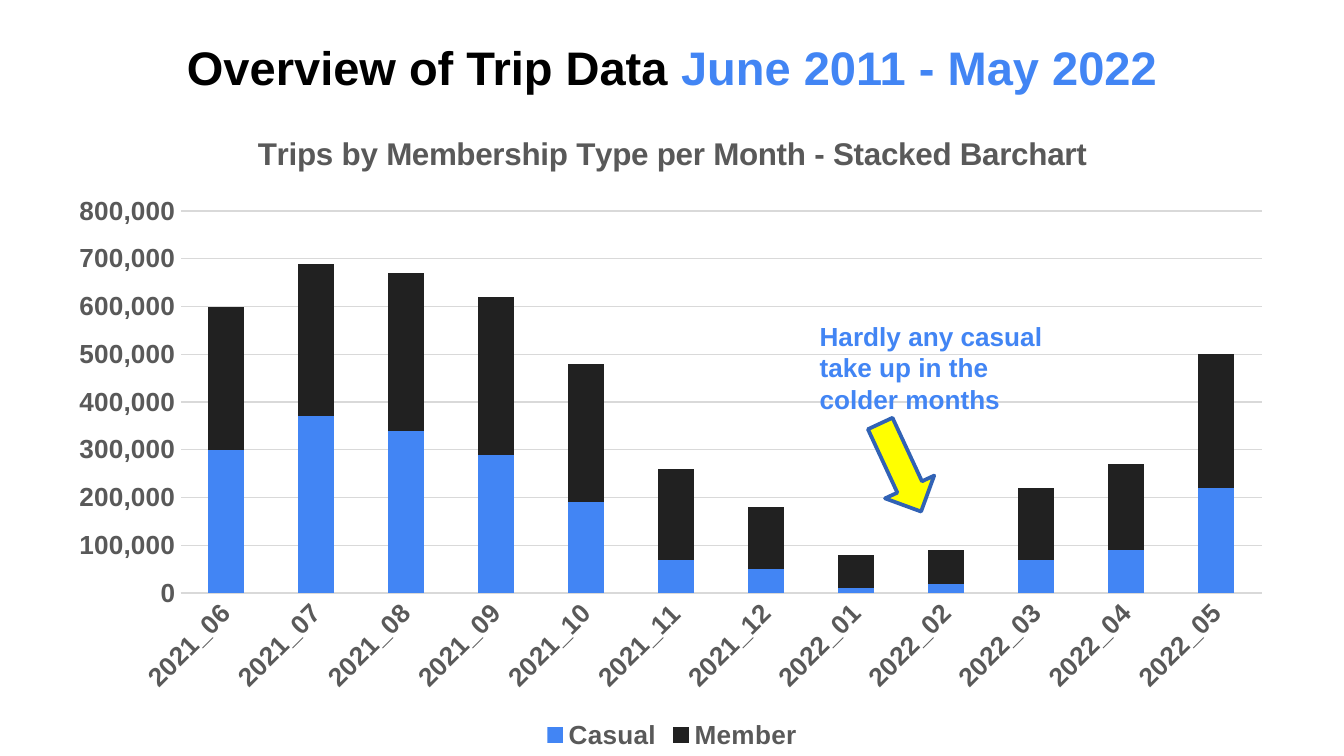
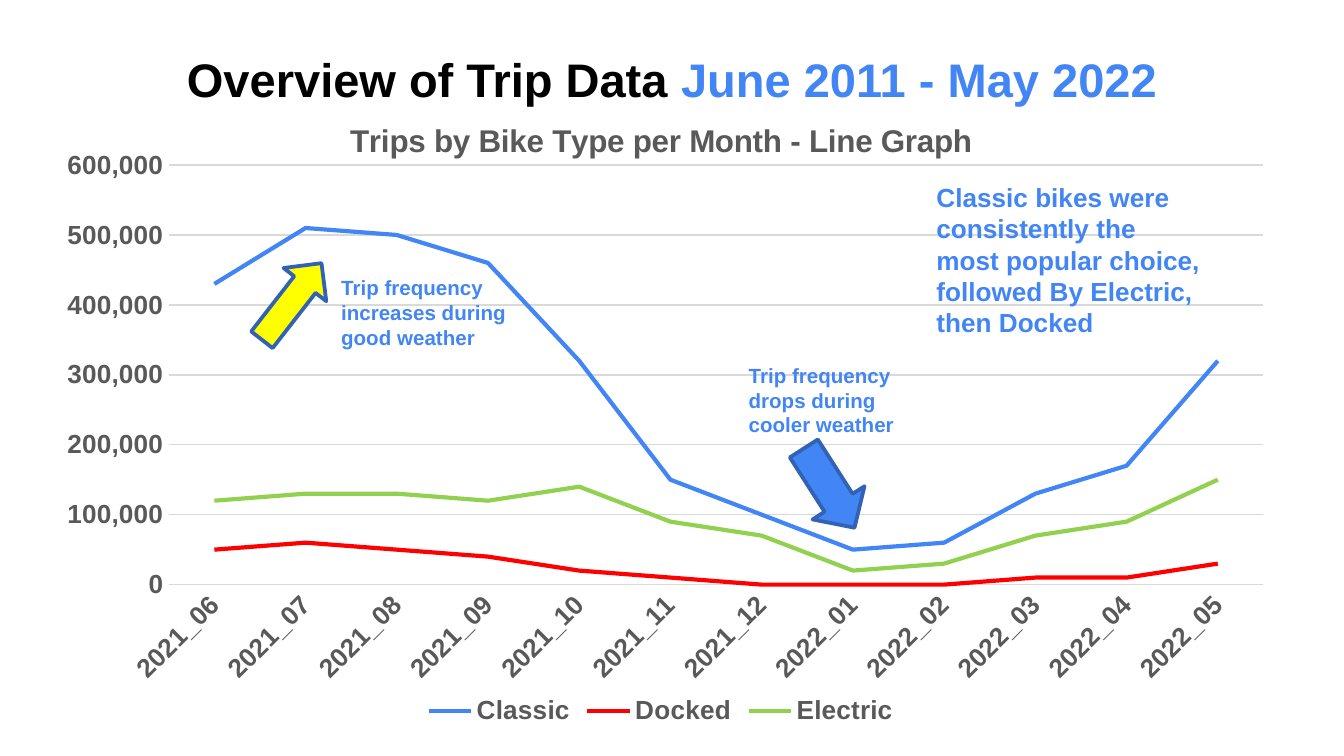
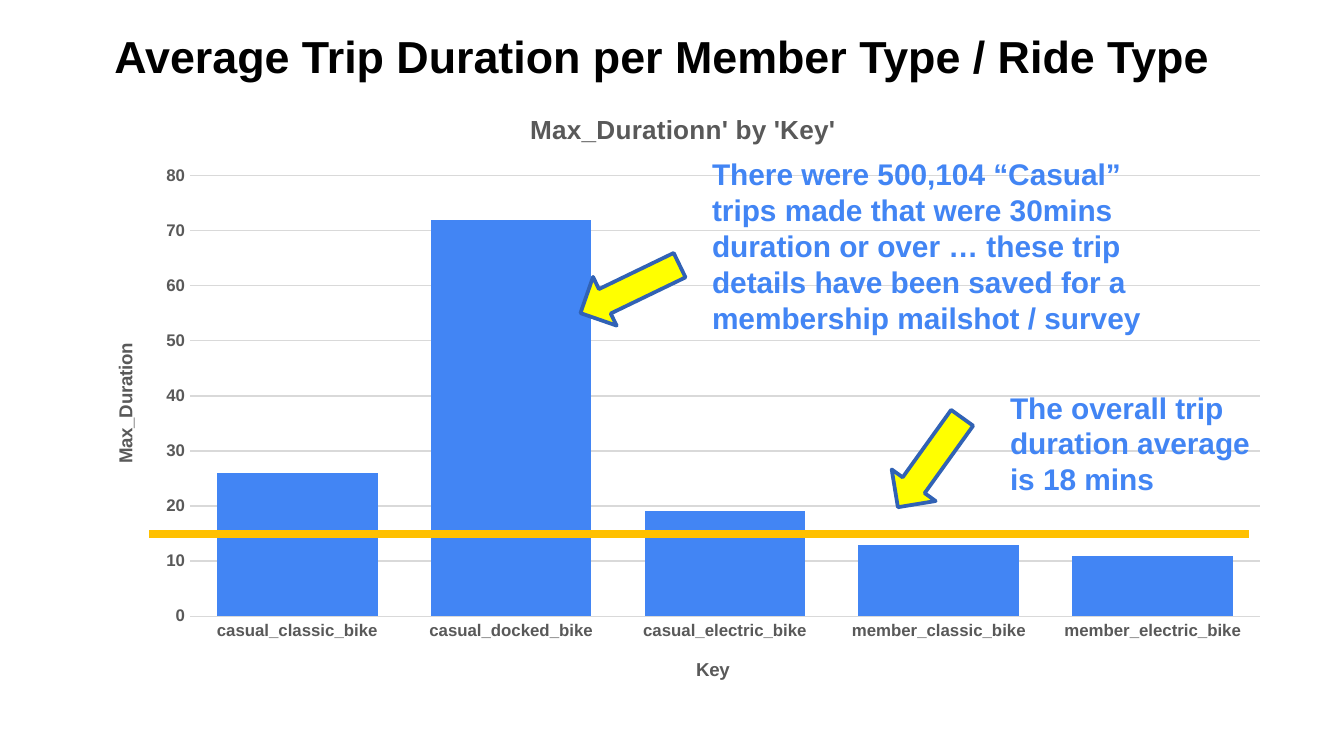
"""Build three slides on bike trips by month, member type and ride type."""
from lxml.etree import SubElement
from pptx import Presentation
from pptx.chart.data import CategoryChartData
from pptx.dml.color import RGBColor
from pptx.enum.chart import XL_CHART_TYPE, XL_LEGEND_POSITION, XL_TICK_MARK
from pptx.enum.shapes import MSO_CONNECTOR, MSO_SHAPE
from pptx.enum.text import MSO_ANCHOR, MSO_AUTO_SIZE, PP_ALIGN
from pptx.oxml import parse_xml
from pptx.oxml.ns import nsdecls, qn
from pptx.util import Pt

BLUE = RGBColor(0x42, 0x85, 0xF4)
NAVY = RGBColor(0x31, 0x62, 0xB5)
BLACK = RGBColor(0, 0, 0)
INK = RGBColor(0x21, 0x21, 0x21)
GREY = RGBColor(0x59, 0x59, 0x59)
PALE = RGBColor(0xD9, 0xD9, 0xD9)
RED = RGBColor(0xFF, 0, 0)
GREEN = RGBColor(0x92, 0xD0, 0x50)
GOLD = RGBColor(0xFF, 0xC0, 0)
YELLOW = RGBColor(0xFF, 0xFF, 0)

FACE = {"name": "Arial", "bold": True}
FRAME = {"word_wrap": True, "auto_size": MSO_AUTO_SIZE.SHAPE_TO_FIT_TEXT}
HEAD = {"word_wrap": True, "auto_size": MSO_AUTO_SIZE.NONE,
        "vertical_anchor": MSO_ANCHOR.MIDDLE}
TRIPS = (("Overview of Trip Data ", BLACK), ("June 2011 - May 2022", BLUE))
MONTHS = [f"2021_{m:02}" for m in range(6, 13)] + [f"2022_{m:02}" for m in range(1, 6)]
RIDES = ["casual_classic_bike", "casual_docked_bike", "casual_electric_bike",
         "member_classic_bike", "member_electric_bike"]


def apply(thing, look):
    """Set each attribute in a dict of format values."""
    for key, value in look.items():
        setattr(thing, key, value)


def dress(font, size, tint):
    """Give a font the shared face with a size and colour."""
    apply(font, {**FACE, "size": Pt(size)})
    font.color.rgb = tint


def place(shape, box):
    """Move a shape to a box in points."""
    apply(shape, dict(zip(("left", "top", "width", "height"), map(Pt, box))))


def stroke(line, tint, width):
    """Colour a line and set its width."""
    line.color.rgb = tint
    line.width = Pt(width)


def add_page(deck, box, parts, size):
    """Add a slide whose title is made of coloured parts."""
    slide = deck.slides.add_slide(deck.slide_layouts[5])
    title = slide.shapes.title
    place(title, box)
    apply(title.text_frame, HEAD)
    para = title.text_frame.paragraphs[0]
    para.alignment = PP_ALIGN.CENTER
    for text, tint in parts:
        run = para.add_run()
        run.text = text
        dress(run.font, size, tint)
    return slide


def add_note(slide, box, text, size):
    """Add a blue remark."""
    frame = slide.shapes.add_textbox(*map(Pt, box)).text_frame
    apply(frame, FRAME)
    run = frame.paragraphs[0].add_run()
    run.text = text
    dress(run.font, size, BLUE)


def add_arrow(slide, box, turn, tint=YELLOW, bends=(0.5, 0.5)):
    """Add a block arrow turned by some degrees."""
    arrow = slide.shapes.add_shape(MSO_SHAPE.RIGHT_ARROW, *map(Pt, box))
    arrow.shadow.inherit = False
    arrow.rotation = turn
    arrow.fill.solid()
    arrow.fill.fore_color.rgb = tint
    stroke(arrow.line, NAVY, 2)
    for i, bend in enumerate(bends):
        arrow.adjustments[i] = bend


def add_rule(slide, left, right, top):
    """Add the gold line that marks the average."""
    rule = slide.shapes.add_connector(
        MSO_CONNECTOR.STRAIGHT, Pt(left), Pt(top), Pt(right), Pt(top))
    stroke(rule.line, GOLD, 4)
    SubElement(rule.element.spPr, qn("a:effectLst"))


def label(owner, text, size):
    """Write a grey title on a chart or an axis."""
    frame = (owner.chart_title if hasattr(owner, "chart_title")
             else owner.axis_title).text_frame
    run = frame.paragraphs[0].add_run()
    run.text = text
    dress(run.font, size, GREY)


def set_plot(chart, area):
    """Fix the inner plot area as shares of the chart."""
    plot = chart.element.xpath(".//c:plotArea")[0]
    for old in plot.findall(qn("c:layout")):
        plot.remove(old)
    sizes = "".join(f'<c:{k} val="{v}"/>' for k, v in zip("xywh", area))
    plot.insert(0, parse_xml(
        f'<c:layout {nsdecls("c")}><c:manualLayout><c:layoutTarget val="inner"/>'
        f'<c:xMode val="edge"/><c:yMode val="edge"/>{sizes}'
        "</c:manualLayout></c:layout>"))


def add_graph(slide, kind, box, title, cats, rows, area, top, step, size=14,
              head=16.8, form="#,##0"):
    """Add a chart with grey axes and one (name, colour, values) row per series."""
    data = CategoryChartData()
    data.categories = cats
    for name, _, values in rows:
        data.add_series(name, values)
    chart = slide.shapes.add_chart(kind, *map(Pt, box), data).chart
    dress(chart.font, size, GREY)
    label(chart, title, head)
    set_plot(chart, area)
    chart.has_legend = len(rows) > 1
    if chart.has_legend:
        apply(chart.legend, {"position": XL_LEGEND_POSITION.BOTTOM,
                             "include_in_layout": False})
        dress(chart.legend.font, size, GREY)
    for axis in (chart.category_axis, chart.value_axis):
        apply(axis, {"major_tick_mark": XL_TICK_MARK.NONE,
                     "minor_tick_mark": XL_TICK_MARK.NONE})
        dress(axis.tick_labels.font, size, GREY)
    stroke(chart.category_axis.format.line, PALE, 0.75)
    axis = chart.value_axis
    apply(axis, {"minimum_scale": 0, "maximum_scale": top, "major_unit": step,
                 "has_major_gridlines": True})
    apply(axis.tick_labels, {"number_format": form, "number_format_is_linked": False})
    axis.format.line.fill.background()
    stroke(axis.major_gridlines.format.line, PALE, 0.75)
    chart.plots[0].vary_by_categories = False
    for one, (_, tint, _) in zip(chart.series, rows):
        if kind == XL_CHART_TYPE.LINE:
            one.smooth = False
            stroke(one.format.line, tint, 2.25)
        else:
            one.format.fill.solid()
            one.format.fill.fore_color.rgb = tint
    return chart


def slant(chart):
    """Turn the category labels by 45 degrees."""
    chart.element.xpath(".//c:catAx/c:txPr/a:bodyPr")[0].set("rot", "-2700000")


def scale(*values):
    """Turn tens of thousands into trips."""
    return [value * 10000 for value in values]


def show_members(deck):
    """Add the slide on trips by membership type."""
    slide = add_page(deck, (24.5, 13, 671, 45.4), TRIPS, 25.2)
    rows = [("Casual", BLUE, scale(30, 37, 34, 29, 19, 7, 5, 1, 2, 7, 9, 22)),
            ("Member", INK, scale(30, 32, 33, 33, 29, 19, 13, 7, 7, 15, 18, 28))]
    chart = add_graph(slide, XL_CHART_TYPE.COLUMN_STACKED, (31, 57.6, 658, 347),
                      "Trips by Membership Type per Month - Stacked Barchart",
                      MONTHS, rows, (0.1, 0.16, 0.88, 0.59), 800000, 100000)
    apply(chart.plots[0], {"gap_width": 150, "overlap": 100})
    slant(chart)
    add_note(slide, (432, 168, 136, 58),
             "Hardly any casual take up in the colder months", 14)
    add_arrow(slide, (456.5, 236, 52, 29), 65.1)


def show_bikes(deck):
    """Add the slide on trips by bike type."""
    slide = add_page(deck, (24.5, 19.4, 671, 45.4), TRIPS, 25.2)
    rows = [("Classic", BLUE, scale(43, 51, 50, 46, 32, 15, 10, 5, 6, 13, 17, 32)),
            ("Docked", RED, scale(5, 6, 5, 4, 2, 1, 0, 0, 0, 1, 1, 3)),
            ("Electric", GREEN, scale(12, 13, 13, 12, 14, 9, 7, 2, 3, 7, 9, 15))]
    chart = add_graph(slide, XL_CHART_TYPE.LINE, (24.5, 51, 659, 340.6),
                      "Trips by Bike Type per Month - Line Graph",
                      MONTHS, rows, (0.1, 0.11, 0.89, 0.66), 600000, 100000)
    slant(chart)
    add_arrow(slide, (419, 245, 50.4, 33), 57.4, BLUE, (0.54, 0.48))
    add_note(slide, (394, 191, 111, 47.5),
             "Trip frequency drops during cooler weather", 11)
    add_arrow(slide, (130.3, 147, 52, 29), 307.9)
    add_note(slide, (175.7, 144, 111, 47.5),
             "Trip frequency increases during good weather", 11)
    add_note(slide, (494.6, 93.6, 155.5, 92),
             "Classic bikes were consistently the most popular choice, "
             "followed By Electric, then Docked", 14)


def show_times(deck):
    """Add the slide on trip duration."""
    head = (("Average Trip Duration per Member Type / Ride Type", BLACK),)
    slide = add_page(deck, (24.5, 11.5, 660, 36), head, 24)
    rows = [("Series 1", BLUE, (26, 72, 19, 13, 11))]
    chart = add_graph(slide, XL_CHART_TYPE.COLUMN_CLUSTERED, (44, 47.5, 643.7, 332.6),
                      "Max_Durationn' by 'Key'", RIDES, rows,
                      (0.09, 0.14, 0.89, 0.71), 80, 10, 9, 14, "General")
    apply(chart.plots[0], {"gap_width": 33, "overlap": -30})
    label(chart.category_axis, "Key", 10)
    label(chart.value_axis, "Max_Duration", 10)
    add_rule(slide, 80, 669, 286)
    add_note(slide, (534, 205, 150.5, 65.5),
             "The overall trip duration average is 18 mins", 16)
    add_arrow(slide, (468.7, 233.3, 59, 29), 125.7)
    add_note(slide, (374.4, 80, 261.4, 104.4),
             "There were 500,104 “Casual” trips made that were 30mins duration or over … "
             "these trip details have been saved for a membership mailshot / survey", 16)
    add_arrow(slide, (308, 140.4, 59, 29), 154.2)


def main():
    """Build and save the deck."""
    deck = Presentation()
    apply(deck, {"slide_width": Pt(720), "slide_height": Pt(405)})
    for show in (show_members, show_bikes, show_times):
        show(deck)
    deck.save("out.pptx")


if __name__ == "__main__":
    main()
